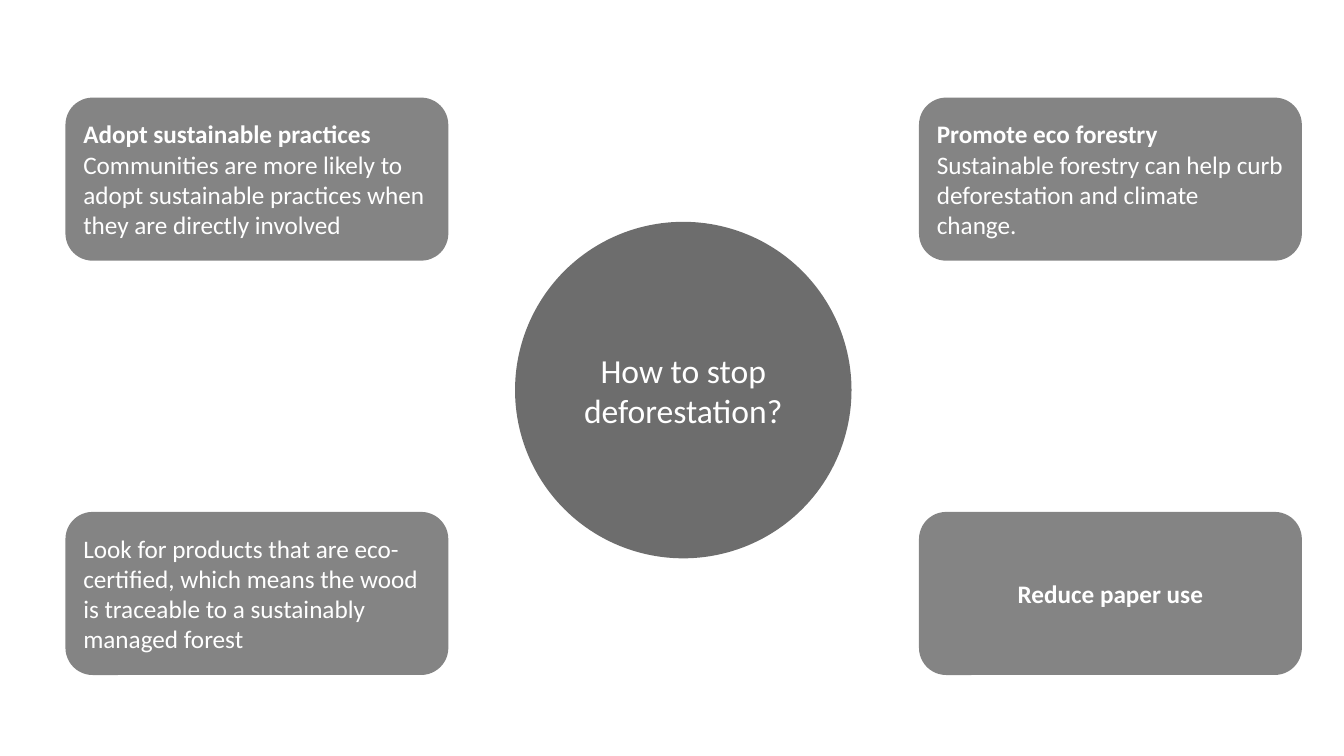
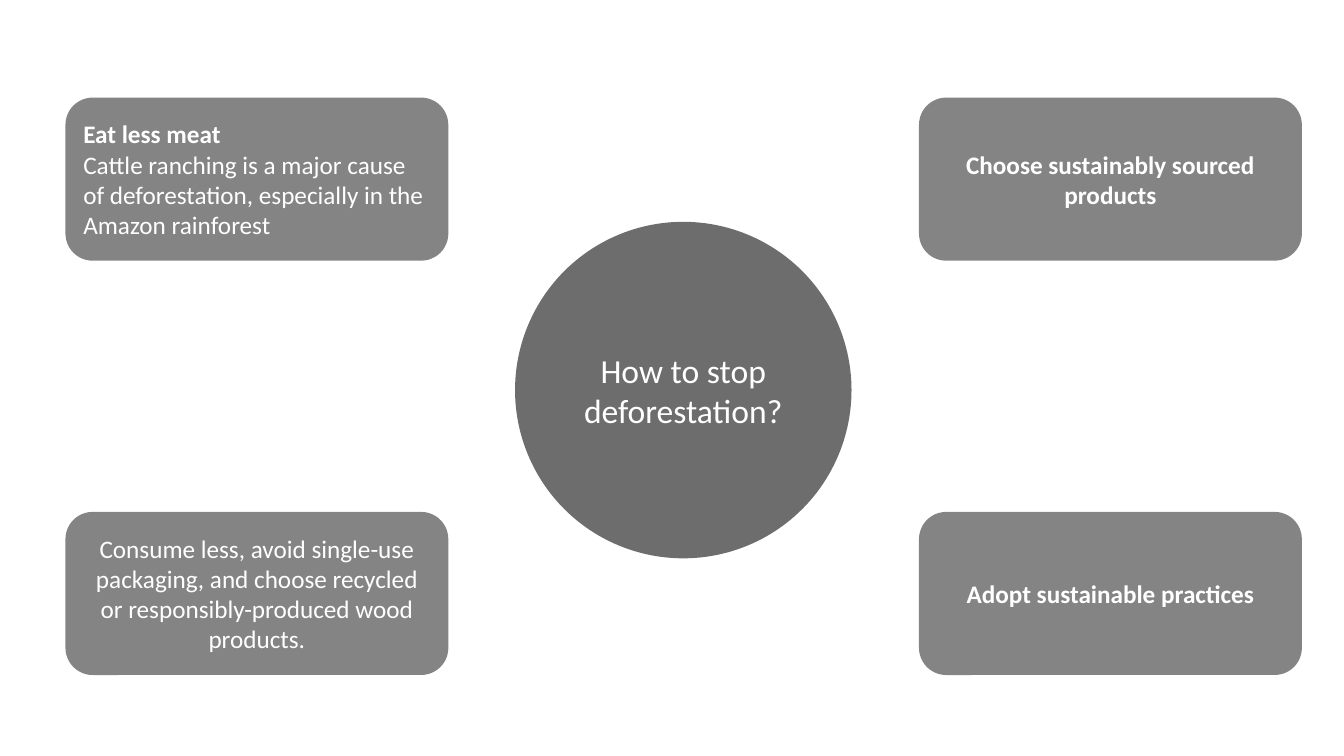
from dataclasses import dataclass

from lxml import etree
from pptx import Presentation
from pptx.dml.color import RGBColor
from pptx.enum.shapes import MSO_SHAPE
from pptx.enum.text import MSO_ANCHOR, PP_ALIGN
from pptx.oxml.ns import qn
from pptx.shapes.autoshape import Shape
from pptx.slide import Slide
from pptx.util import Cm, Pt

CIRCLE = MSO_SHAPE.FLOWCHART_CONNECTOR
ROUNDED = MSO_SHAPE.ROUNDED_RECTANGLE
MIDDLE = MSO_ANCHOR.MIDDLE
LEFT = PP_ALIGN.LEFT
CENTER = PP_ALIGN.CENTER

CHARCOAL = RGBColor(0x40, 0x40, 0x40)
WHITE = RGBColor(0xFF, 0xFF, 0xFF)
FONT = "Calibri"

QUESTION = "How to stop deforestation?"
CIRCLE_LEFT, CIRCLE_TOP, CIRCLE_SIZE = 12.98, 5.59, 8.48
CARD_WIDTH, CARD_HEIGHT = 9.65, 4.11
CARD_LEFTS = (1.65, 23.16)
CARD_TOPS = (2.46, 12.9)


@dataclass(frozen=True)
class Card:
    column: int
    row: int
    heading: str = ""
    body: str = ""
    alignment: PP_ALIGN = LEFT


SLIDES = (
    (
        Card(1, 1, heading="Reduce paper use", alignment=CENTER),
        Card(0, 0, "Adopt sustainable practices",
             "Communities are more likely to adopt sustainable practices "
             "when they are directly involved"),
        Card(0, 1, body="Look for products that are eco-certified, which means "
             "the wood is traceable to a sustainably managed forest"),
        Card(1, 0, "Promote eco forestry",
             "Sustainable forestry can help curb deforestation and climate change."),
    ),
    (
        Card(1, 1, heading="Adopt sustainable practices", alignment=CENTER),
        Card(0, 0, "Eat less meat",
             "Cattle ranching is a major cause of deforestation, "
             "especially in the Amazon rainforest"),
        Card(0, 1, body="Consume less, avoid single-use packaging, and choose "
             "recycled or responsibly-produced wood products.", alignment=CENTER),
        Card(1, 0, heading="Choose sustainably sourced products", alignment=CENTER),
    ),
)


def add_panel(slide: Slide, kind: MSO_SHAPE, left: float, top: float,
              width: float, height: float, opacity: int) -> Shape:
    shape = slide.shapes.add_shape(kind, Cm(left), Cm(top), Cm(width), Cm(height))
    shape.shadow.inherit = False
    shape.fill.solid()
    shape.fill.fore_color.rgb = CHARCOAL
    color = shape.element.spPr.find(qn("a:solidFill")).find(qn("a:srgbClr"))
    etree.SubElement(color, qn("a:alpha"), val=str(opacity * 1000))
    shape.line.fill.background()
    shape.text_frame.word_wrap = True
    shape.text_frame.vertical_anchor = MIDDLE
    return shape


def write_text(shape: Shape, text: str, *, size: int = 18, bold: bool = False,
               alignment: PP_ALIGN = LEFT) -> None:
    frame = shape.text_frame
    paragraph = frame.add_paragraph() if frame.text else frame.paragraphs[0]
    paragraph.alignment = alignment
    run = paragraph.add_run()
    run.text = text
    run.font.name = FONT
    run.font.size = Pt(size)
    run.font.bold = bold
    run.font.color.rgb = WHITE


def add_question(slide: Slide) -> None:
    circle = add_panel(slide, CIRCLE, CIRCLE_LEFT, CIRCLE_TOP,
                       CIRCLE_SIZE, CIRCLE_SIZE, opacity=76)
    write_text(circle, QUESTION, size=24, alignment=CENTER)


def add_card(slide: Slide, card: Card) -> None:
    shape = add_panel(slide, ROUNDED, CARD_LEFTS[card.column], CARD_TOPS[card.row],
                      CARD_WIDTH, CARD_HEIGHT, opacity=64)
    if card.heading:
        write_text(shape, card.heading, bold=True, alignment=card.alignment)
    if card.body:
        write_text(shape, card.body, alignment=card.alignment)


def main() -> None:
    presentation = Presentation()
    presentation.slide_width = Cm(33.87)
    presentation.slide_height = Cm(19.05)
    blank_layout = presentation.slide_layouts[6]
    for cards in SLIDES:
        slide = presentation.slides.add_slide(blank_layout)
        add_question(slide)
        for card in cards:
            add_card(slide, card)
    presentation.save("out.pptx")


if __name__ == "__main__":
    main()
